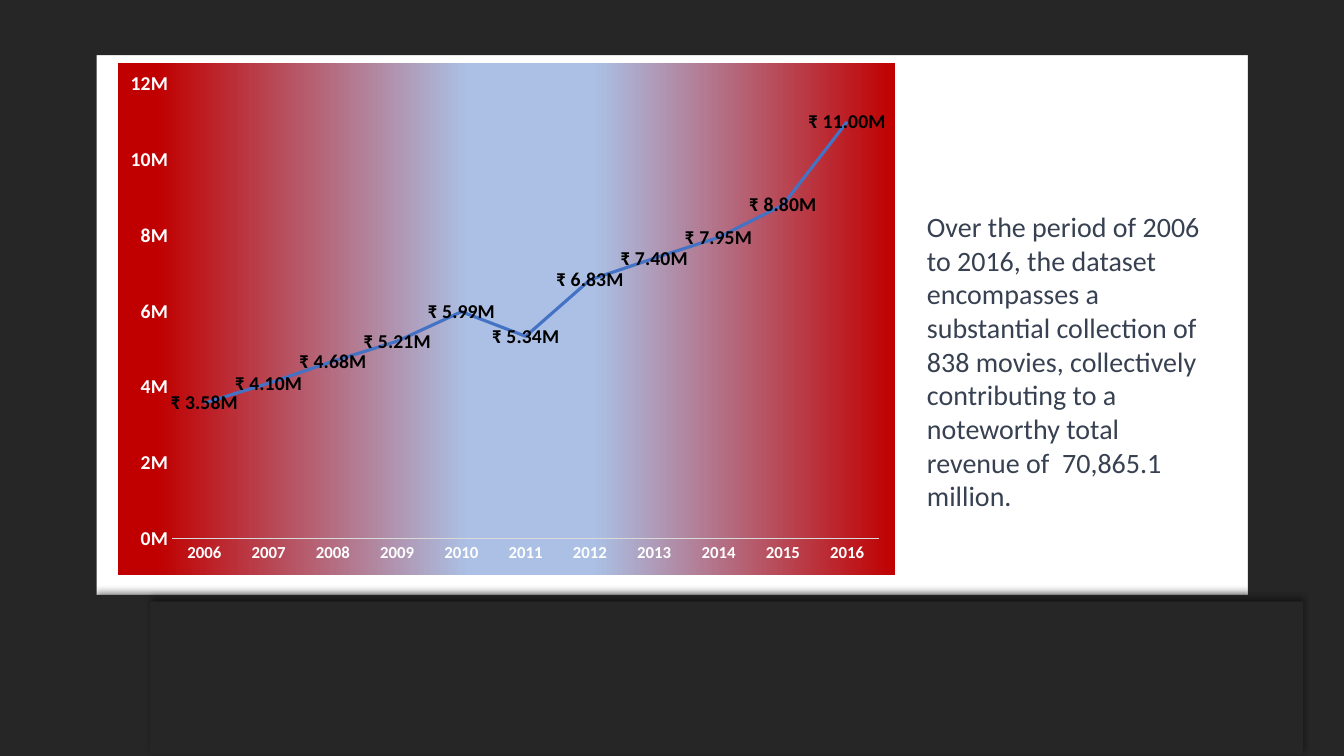
"""Build a slide with a yearly movie revenue line chart in a dark frame."""
from lxml import etree
from pptx import Presentation
from pptx.chart.data import CategoryChartData
from pptx.dml.color import RGBColor
from pptx.enum.chart import XL_CHART_TYPE, XL_LABEL_POSITION, XL_TICK_MARK
from pptx.enum.shapes import MSO_SHAPE
from pptx.oxml import parse_xml
from pptx.oxml.ns import nsdecls, qn
from pptx.util import Cm, Pt

LINE_CHART = XL_CHART_TYPE.LINE
CENTER = XL_LABEL_POSITION.CENTER
NO_TICK = XL_TICK_MARK.NONE
RECTANGLE = MSO_SHAPE.RECTANGLE

CHARCOAL = RGBColor(0x26, 0x26, 0x26)
SLATE = RGBColor(0x37, 0x41, 0x51)
BLUE = RGBColor(0x44, 0x72, 0xC4)
PALE_GREY = RGBColor(0xD9, 0xD9, 0xD9)
WHITE = RGBColor(0xFF, 0xFF, 0xFF)
BLACK = RGBColor(0, 0, 0)
RED = RGBColor(0xC0, 0, 0)
PALE_BLUE = RGBColor(0xAB, 0xC0, 0xE4)
DULL_BLUE = RGBColor(0xAB, 0xBD, 0xE1)

SLIDE_SIZE = (33.87, 19.05)
FRAME = [
    ((2.41, 14.99, 29.06, 4.09), True),
    ((31.45, 1.02, 2.44, 18.03), False),
    ((0, 1.22, 2.44, 17.83), False),
    ((0, -0.08, 33.87, 1.47), False),
    ((3.78, 15.16, 29.06, 3.86), True),
]
CHART_PLACE = (2.97, 1.6, 19.58, 12.88)
PLOT_PLACE = {"x": 0.07, "y": 0.04, "w": 0.91, "h": 0.89}
FIRST_YEAR = 2006
REVENUES = [3580, 4100, 4680, 5210, 5990, 5340, 6830, 7400, 7950, 8800, 11000]
GRADIENT = [(0, RED), (38, DULL_BLUE), (39, PALE_BLUE), (55, PALE_BLUE), (95, RED)]
SUMMARY_PLACE = (23.11, 5.16, 7.52, 7.95)
SUMMARY = (
    "Over the period of 2006 to 2016, the dataset encompasses a substantial "
    "collection of 838 movies, collectively contributing to a noteworthy total "
    "revenue of  70,865.1 million."
)
AXIS_FORMAT = {
    "has_major_gridlines": False,
    "major_tick_mark": NO_TICK,
    "minor_tick_mark": NO_TICK,
}
VALUE_SCALE = {"minimum_scale": 0, "maximum_scale": 12000, "major_unit": 2000}
LABEL_FORMAT = {
    "show_value": True,
    "position": CENTER,
    "number_format": '"₹"\\ 0.00,"M"',
    "number_format_is_linked": False,
}


def apply(target, values):
    """Set each named attribute."""
    for name, value in values.items():
        setattr(target, name, value)


def style_font(font, size, color, bold=False):
    """Set typeface, size, weight and colour."""
    apply(font, {"name": "Calibri", "size": Pt(size), "bold": bold})
    font.color.rgb = color


def add_frame(page):
    """Add the dark bars around the white panel."""
    for place, shadowed in FRAME:
        bar = page.shapes.add_shape(RECTANGLE, *map(Cm, place))
        bar.shadow.inherit = False
        bar.fill.solid()
        bar.fill.fore_color.rgb = CHARCOAL
        bar.line.fill.background()
        if shadowed:
            effects = bar._element.spPr.find(qn("a:effectLst"))
            effects.append(parse_xml(
                f'<a:outerShdw {nsdecls("a")} blurRad="{Pt(4)}" dist="{Pt(3)}" '
                'dir="16200000" rotWithShape="0"><a:srgbClr val="000000">'
                '<a:alpha val="40000"/></a:srgbClr></a:outerShdw>'))


def paint_background(chart):
    """Fill the chart area with the horizontal gradient."""
    stops = "".join(
        f'<a:gs pos="{percent * 1000}"><a:srgbClr val="{color}"/></a:gs>'
        for percent, color in GRADIENT)
    chart._chartSpace.find(qn("c:chart")).addnext(parse_xml(
        f'<c:spPr {nsdecls("c", "a")}><a:gradFill><a:gsLst>{stops}</a:gsLst>'
        '<a:lin ang="10800000" scaled="0"/></a:gradFill>'
        '<a:ln><a:noFill/></a:ln></c:spPr>'))


def place_plot(chart):
    """Fix the inner plot rectangle."""
    area = chart._chartSpace.find(qn("c:chart")).find(qn("c:plotArea"))
    for old in area.findall(qn("c:layout")):
        area.remove(old)
    layout = etree.Element(qn("c:layout"))
    manual = etree.SubElement(layout, qn("c:manualLayout"))
    settings = {"layoutTarget": "inner", "xMode": "edge", "yMode": "edge", **PLOT_PLACE}
    for name, value in settings.items():
        etree.SubElement(manual, qn(f"c:{name}"), val=str(value))
    area.insert(0, layout)


def add_revenue_chart(page):
    """Add the labelled revenue line."""
    data = CategoryChartData()
    data.categories = [str(FIRST_YEAR + step) for step in range(len(REVENUES))]
    data.add_series("Series 1", REVENUES)
    chart = page.shapes.add_chart(LINE_CHART, *map(Cm, CHART_PLACE), data).chart
    apply(chart, {"has_legend": False, "has_title": False})
    style_font(chart.font, 10, BLACK)

    years, amounts = chart.category_axis, chart.value_axis
    for axis, size in ((years, 12), (amounts, 14)):
        apply(axis, AXIS_FORMAT)
        style_font(axis.tick_labels.font, size, WHITE, True)
    years.format.line.color.rgb = PALE_GREY
    years.format.line.width = Pt(0.75)
    apply(amounts, VALUE_SCALE)
    amounts.format.line.fill.background()
    apply(amounts.tick_labels,
          {"number_format": '0,"M"', "number_format_is_linked": False})

    plot = chart.plots[0]
    plot.vary_by_categories = False
    revenue = plot.series[0]
    revenue.smooth = False
    revenue.format.line.color.rgb = BLUE
    revenue.format.line.width = Pt(2.25)
    apply(revenue.data_labels, LABEL_FORMAT)
    style_font(revenue.data_labels.font, 14, BLACK, True)
    paint_background(chart)
    place_plot(chart)


def add_summary(page):
    """Add the paragraph beside the chart."""
    box = page.shapes.add_textbox(*map(Cm, SUMMARY_PLACE))
    box.text_frame.word_wrap = True
    span = box.text_frame.paragraphs[0].add_run()
    span.text = SUMMARY
    style_font(span.font, 20, SLATE)


def main():
    """Build and save the deck."""
    deck = Presentation()
    deck.slide_width, deck.slide_height = map(Cm, SLIDE_SIZE)
    page = deck.slides.add_slide(deck.slide_layouts[6])
    add_frame(page)
    add_revenue_chart(page)
    add_summary(page)
    deck.save("out.pptx")


if __name__ == "__main__":
    main()
